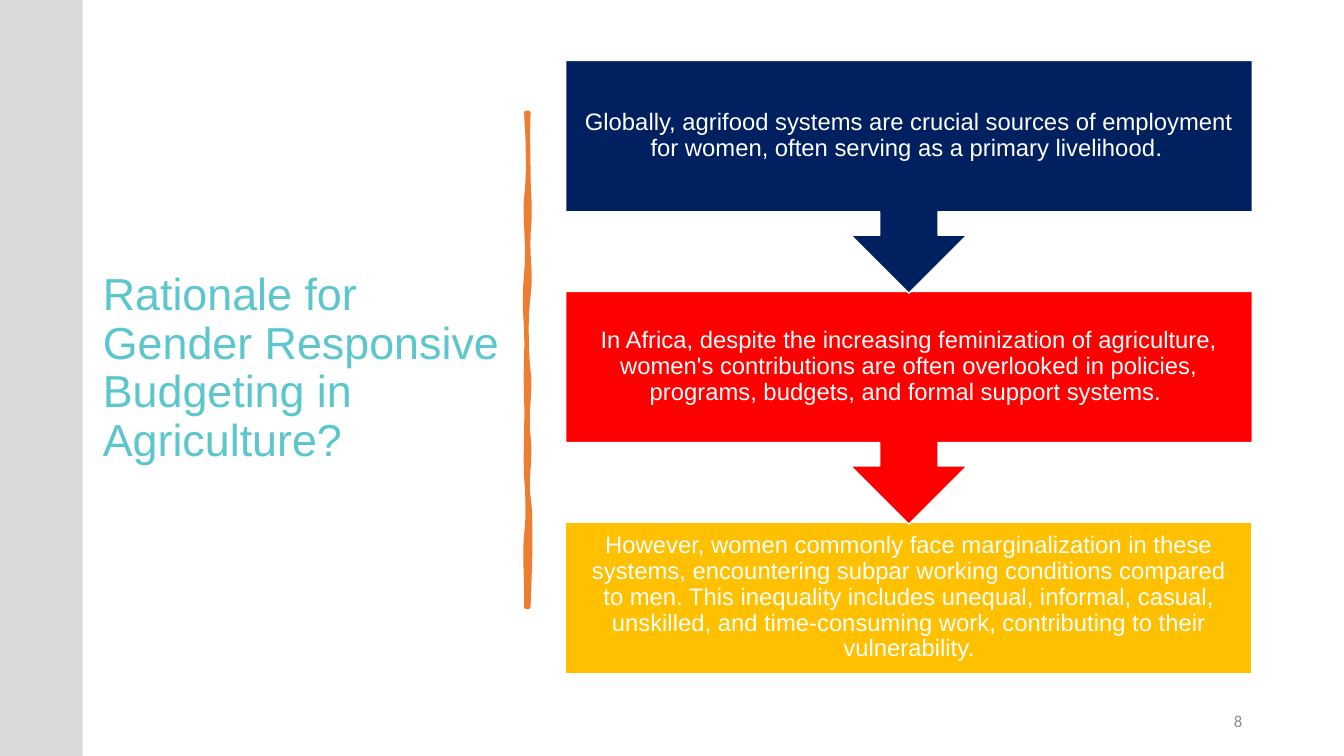
from pptx import Presentation
from pptx import util as u
from pptx.dml.color import RGBColor
from pptx.enum import shapes, text

TEAL = RGBColor(0x5B, 0xC6, 0xCC)
ORANGE = RGBColor(0xED, 0x7D, 0x31)
NAVY = RGBColor(0x00, 0x20, 0x60)
RED = RGBColor(0xFF, 0x00, 0x00)
GOLD = RGBColor(0xFF, 0xC0, 0x00)
WHITE = RGBColor(0xFF, 0xFF, 0xFF)
BAR_GREY = RGBColor(0xD9, 0xD9, 0xD9)
NUMBER_GREY = RGBColor(0x8C, 0x8C, 0x8C)

deck = Presentation()
deck.slide_width, deck.slide_height = u.Inches(13.33), u.Inches(7.5)
page = deck.slides.add_slide(deck.slide_layouts[5])


def write(box, spans, align, spacing, size, color):
    """Fill a shape with one paragraph of (wording, font name) spans."""
    frame = box.text_frame
    frame.word_wrap = True
    frame.auto_size = text.MSO_AUTO_SIZE.NONE
    frame.vertical_anchor = text.MSO_ANCHOR.MIDDLE
    para = frame.paragraphs[0]
    para.alignment, para.line_spacing = align, spacing
    for wording, font_name in spans:
        span = para.add_run()
        span.text = wording
        span.font.color.rgb = color
        for name, value in {"name": font_name, "size": u.Pt(size), "bold": False}.items():
            setattr(span.font, name, value)


def paint(shape, fill, line=None, width=1):
    shape.shadow.inherit = False
    shape.fill.solid()
    shape.fill.fore_color.rgb = fill
    if line is None:
        shape.line.fill.background()
    else:
        shape.line.color.rgb = line
        shape.line.width = u.Pt(width)


# Title
title = page.shapes.title
title.left, title.top = u.Inches(0.92), u.Inches(0.69)
title.width, title.height = u.Inches(4.3), u.Inches(5.94)
write(title, [("Rationale for Gender Responsive Budgeting in Agriculture?", "Arial")],
      text.PP_ALIGN.LEFT, 0.9, 32, TEAL)

# Hand-drawn divider: each row holds two control points and an end point
START = (5.24, 1.12)
CURVES = [
    (5.23, 1.42, 5.24, 1.49, 5.24, 1.77), (5.25, 2.06, 5.26, 2.07, 5.24, 2.33),
    (5.23, 2.59, 5.27, 2.69, 5.24, 2.93), (5.21, 3.17, 5.22, 3.50, 5.24, 3.68),
    (5.27, 3.86, 5.21, 4.10, 5.24, 4.33), (5.27, 4.56, 5.21, 4.76, 5.24, 4.93),
    (5.27, 5.11, 5.26, 5.51, 5.24, 6.02), (5.23, 6.02, 5.23, 6.02, 5.22, 6.02),
    (5.23, 5.84, 5.20, 5.53, 5.22, 5.32), (5.24, 5.12, 5.24, 5.00, 5.22, 4.72),
    (5.21, 4.44, 5.23, 4.22, 5.22, 3.92), (5.21, 3.63, 5.23, 3.47, 5.22, 3.27),
    (5.21, 3.07, 5.20, 2.97, 5.22, 2.72), (5.25, 2.47, 5.20, 2.12, 5.22, 1.97),
    (5.24, 1.82, 5.25, 1.52, 5.22, 1.12),
]
STEPS = 8
points = [START]
for x1, y1, x2, y2, x3, y3 in CURVES:
    x0, y0 = points[-1]
    for step in range(1, STEPS + 1):
        t = step / STEPS
        weights = ((1 - t) ** 3, 3 * t * (1 - t) ** 2, 3 * t ** 2 * (1 - t), t ** 3)
        points.append((sum(w * x for w, x in zip(weights, (x0, x1, x2, x3))),
                       sum(w * y for w, y in zip(weights, (y0, y1, y2, y3)))))
outline = [(u.Inches(x), u.Inches(y)) for x, y in points]
builder = page.shapes.build_freeform(*outline[0])
builder.add_line_segments(outline[1:], close=True)
paint(builder.convert_to_shape(), ORANGE, ORANGE, 3.25)

# Chain of reasons, stacked so that each arrow lies over the box below it
LEFT, TOP, WIDTH, ROW = 5.61, 0.6, 6.81, 2.29
CALLOUT, BOX = shapes.MSO_SHAPE.DOWN_ARROW_CALLOUT, shapes.MSO_SHAPE.RECTANGLE
REASONS = [
    (CALLOUT, 2.31, NAVY, [
        ("Globally, agrifood systems are crucial sources of employment for women, "
         "often serving as a primary livelihood", "Arial"), (". ", "Calibri")]),
    (CALLOUT, 2.31, RED, [
        ("In Africa, despite the increasing feminization of agriculture, women's "
         "contributions are often overlooked in policies, programs, budgets, and "
         "formal support systems. ", "Arial")]),
    (BOX, 1.5, GOLD, [
        ("However, women commonly face marginalization in these systems, "
         "encountering subpar working conditions compared to men. This inequality "
         "includes unequal, informal, casual, unskilled, and time-consuming work, "
         "contributing to their vulnerability.", "Arial")]),
]
for row, (kind, height, color, spans) in reversed(list(enumerate(REASONS))):
    reason = page.shapes.add_shape(kind, u.Inches(LEFT), u.Inches(TOP + row * ROW),
                                   u.Inches(WIDTH), u.Inches(height))
    paint(reason, color, WHITE)
    for side in ("left", "top", "right", "bottom"):
        setattr(reason.text_frame, f"margin_{side}", u.Inches(0.13))
    write(reason, spans, text.PP_ALIGN.CENTER, 0.9, 17, WHITE)

# Page number and side bar
number = page.shapes.add_textbox(u.Inches(9.42), u.Inches(6.95), u.Inches(3), u.Inches(0.4))
write(number, [("8", "Calibri")], text.PP_ALIGN.RIGHT, 1.0, 12, NUMBER_GREY)
side_bar = page.shapes.add_shape(BOX, 0, 0, u.Inches(0.82), deck.slide_height)
paint(side_bar, BAR_GREY)

deck.save("out.pptx")
